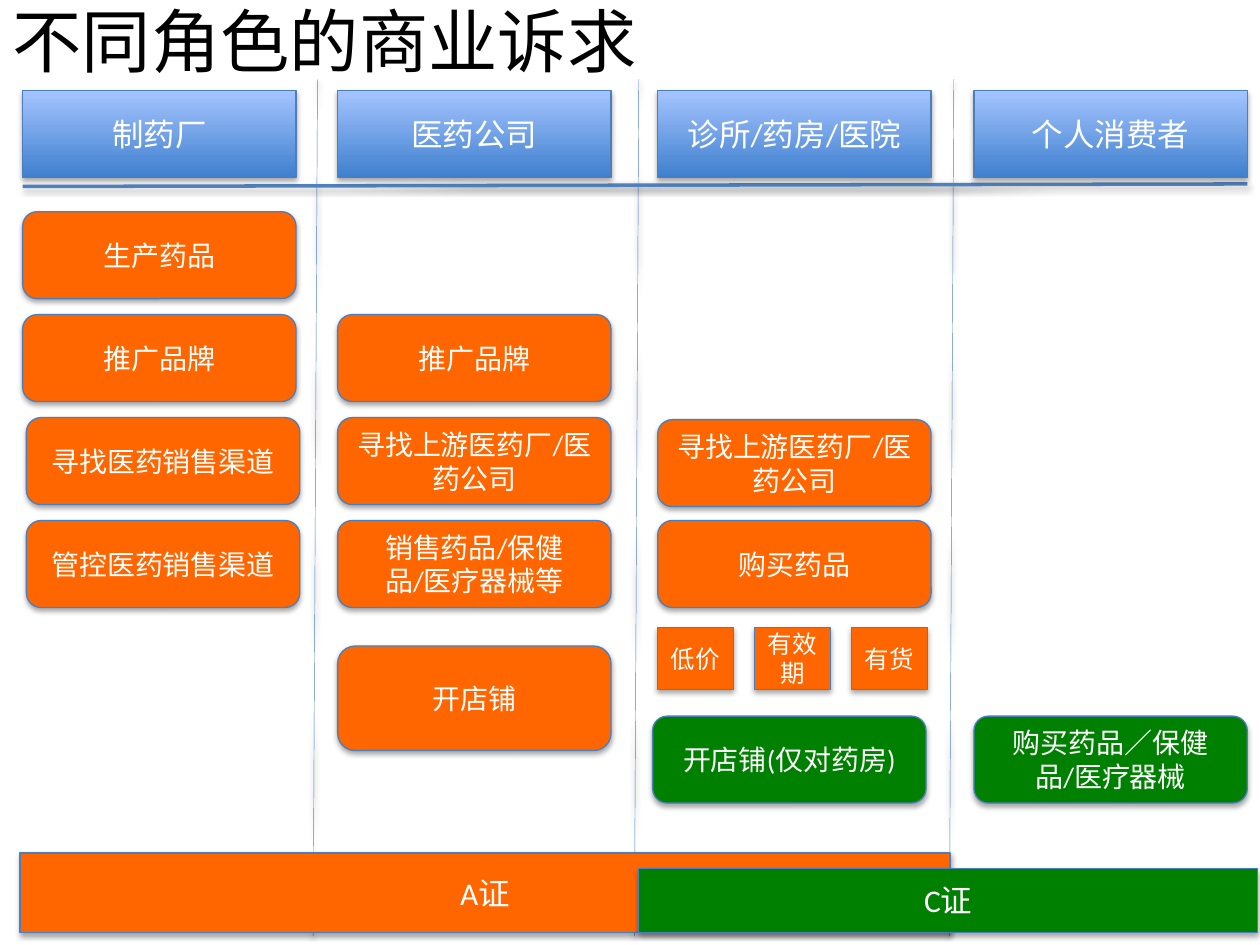
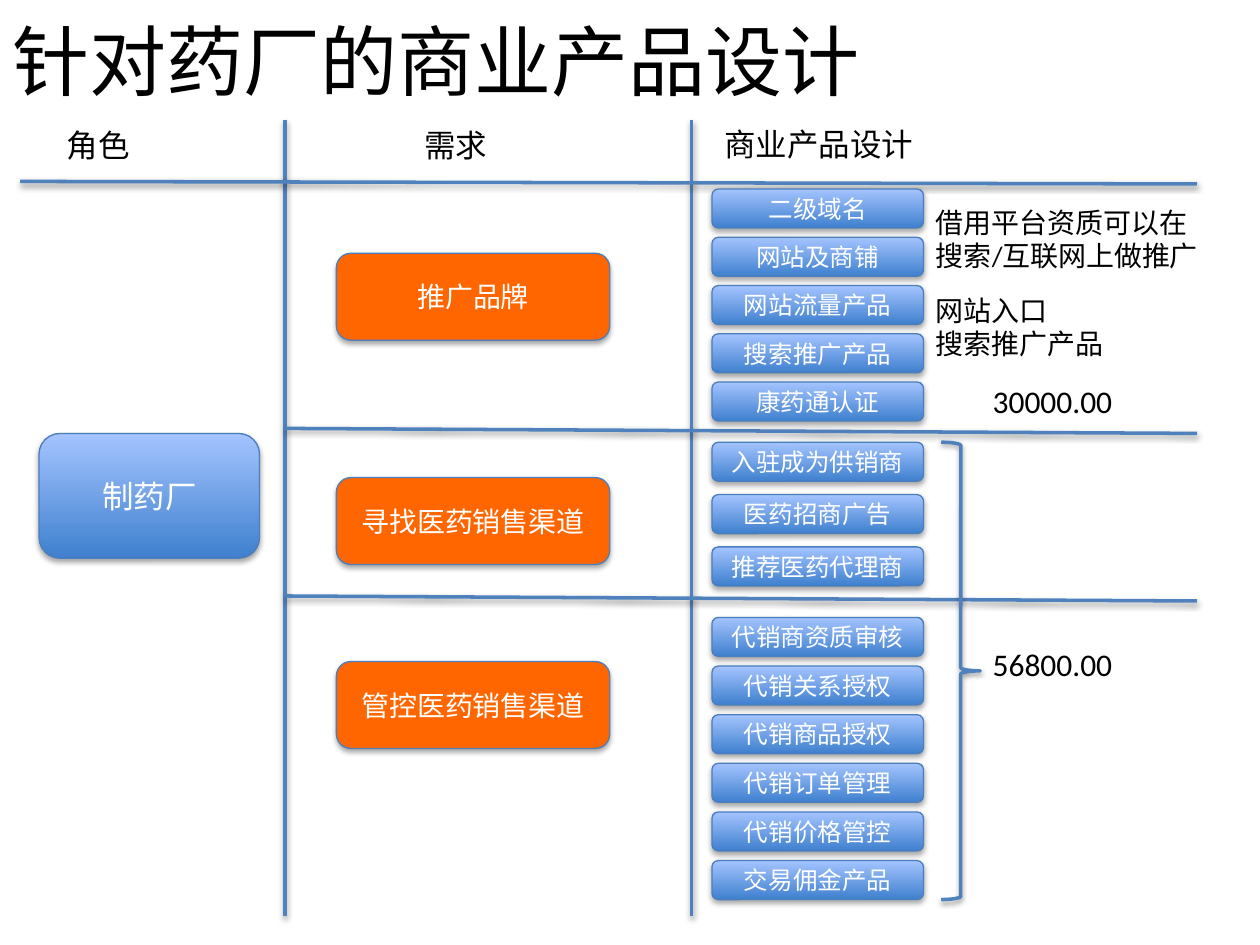
from dataclasses import dataclass

from lxml import etree
from pptx import Presentation
from pptx.dml.color import RGBColor
from pptx.enum.shapes import MSO_CONNECTOR as Connector, MSO_SHAPE as Preset
from pptx.enum.text import MSO_ANCHOR as Anchor, MSO_AUTO_SIZE as AutoSize, PP_ALIGN as Align
from pptx.oxml.ns import qn
from pptx.util import Inches, Pt

# The slide is a grid of 100 columns by 75 rows of square cells.
COLUMNS = 100
SLIDE_WIDTH, SLIDE_HEIGHT = Inches(10), Inches(7.5)
CELL = SLIDE_WIDTH / COLUMNS
TITLE_ONLY = 5
FONT = "Calibri"
COLORS = {
    "text": "000000", "inverse": "FFFFFF", "edge": "4B7EBC", "rule": "4F81BD",
    "blue_low": "3F80CE", "blue_high": "A4C4FF", "orange": "FF6600", "green": "008000",
}
CARD_WIDTH, CARD_HEIGHT = 21.7, 6.9


@dataclass
class Box:
    """A region of the slide, measured in grid cells."""
    left: float
    top: float
    width: float
    height: float

    def inner(self, left, top, width, height):
        """Return a box placed relative to this one."""
        return Box(self.left + left, self.top + top, width, height)

    def lengths(self):
        """Return left, top, width and height as slide lengths."""
        return [round(n * CELL) for n in (self.left, self.top, self.width, self.height)]


def color(name):
    """Look up a colour of the palette."""
    return RGBColor.from_string(COLORS[name])


def add_shadow(item, distance, opacity):
    """Give a shape or connector a soft shadow straight below it."""
    effects = etree.SubElement(item._element.spPr, qn("a:effectLst"))
    outer = etree.SubElement(effects, qn("a:outerShdw"), blurRad="40000", dist=str(distance),
                             dir="5400000", rotWithShape="0")
    tone = etree.SubElement(outer, qn("a:srgbClr"), val="000000")
    etree.SubElement(tone, qn("a:alpha"), val=str(opacity * 1000))


def write(frame, text, size, tone, align=Align.LEFT):
    """Fill a text frame and format each run."""
    frame.word_wrap = True
    frame.text = text
    for para in frame.paragraphs:
        para.alignment = align
        for span in para.runs:
            span.font.name = FONT
            span.font.size = Pt(size)
            span.font.color.rgb = color(tone)


def add_card(page, box, text, fill, size=16, preset=Preset.ROUNDED_RECTANGLE):
    """Draw a filled card with centred white text; "blue" is a gradient."""
    card = page.shapes.add_shape(preset, *box.lengths())
    if fill == "blue":
        card.fill.gradient()
        card.fill.gradient_angle = 90
        for stop, name in zip(card.fill.gradient_stops, ("blue_low", "blue_high")):
            stop.color.rgb = color(name)
    else:
        card.fill.solid()
        card.fill.fore_color.rgb = color(fill)
    card.line.color.rgb = color("edge")
    card.line.width = Pt(0.75)
    add_shadow(card, 23000, 35)
    card.text_frame.vertical_anchor = Anchor.MIDDLE
    write(card.text_frame, text, size, "inverse", Align.CENTER)


def style_rule(item, width):
    """Apply the line style shared by rules and the brace."""
    item.line.color.rgb = color("rule")
    item.line.width = Pt(width)
    add_shadow(item, 20000, 38)


def add_rule(page, box, width=2):
    """Draw a rule from the box's top left by its signed width and height."""
    left, top, across, down = box.lengths()
    rule = page.shapes.add_connector(Connector.STRAIGHT, left, top, left + across, top + down)
    style_rule(rule, width)


def add_label(page, box, text, size=18):
    """Place a plain text box."""
    label = page.shapes.add_textbox(*box.lengths())
    write(label.text_frame, text, size, "text")
    label.text_frame.auto_size = AutoSize.SHAPE_TO_FIT_TEXT


def add_page(deck, title, height, size):
    """Add a slide with its title across the top."""
    page = deck.slides.add_slide(deck.slide_layouts[TITLE_ONLY])
    holder = page.shapes.title
    holder.left, holder.top, holder.width, holder.height = Box(0, 0, COLUMNS, height).lengths()
    holder.text_frame.auto_size = AutoSize.NONE
    holder.text_frame.vertical_anchor = Anchor.MIDDLE
    write(holder.text_frame, title, size, "text")
    return page


def add_role(page, box, role, demands):
    """Draw one role's header and its demands: text, row, indent, height, fill."""
    add_card(page, box.inner(0, 0, box.width, CARD_HEIGHT), role, "blue", 18, Preset.RECTANGLE)
    for text, row, indent, height, fill in demands:
        add_card(page, box.inner(indent, 9.6 + 8.17 * row, box.width, height), text, fill)


def add_conditions(page, box, conditions):
    """Draw the buying conditions as equal tiles in a row."""
    pitch = box.width / len(conditions)
    for index, text in enumerate(conditions):
        add_card(page, box.inner(index * pitch, 0, 6, box.height), text, "orange", 14,
                 Preset.RECTANGLE)


def add_dividers(page, box):
    """Draw the slightly leaning column dividers and the header rule."""
    for left in (73.9, 48.9, 23.4):
        add_rule(page, box.inner(left, 0, -0.35, box.height), 0.25)
    add_rule(page, box.inner(0, 8.5, box.width, -0.2))


def add_licences(page, box):
    """Draw the two overlapping licence bands, both resting on the box's foot."""
    for text, left, width, height, fill in (("A证", 0, 73.8, 6.3, "orange"),
                                            ("C证", 49.1, 49.1, 5.1, "green")):
        add_card(page, box.inner(left, box.height - height, width, height), text, fill, 18,
                 Preset.RECTANGLE)


def build_roles(deck):
    """Build the slide of each role's commercial demands."""
    page = add_page(deck, "不同角色的商业诉求", 6.3, 39.6)
    add_dividers(page, Box(1.8, 6.3, 97.2, 68))
    add_licences(page, Box(1.6, 67.7, 98.2, 6.3))
    full = CARD_HEIGHT
    upstream = "寻找上游医药厂/医药公司"
    roles = [
        (1.8, "制药厂", [
            ("生产药品", 0, 0, full, "orange"),
            ("推广品牌", 1, 0, full, "orange"),
            ("寻找医药销售渠道", 2, 0.3, full, "orange"),
            ("管控医药销售渠道", 3, 0.3, full, "orange")]),
        (26.8, "医药公司", [
            ("推广品牌", 1, 0, full, "orange"),
            (upstream, 2, 0, full, "orange"),
            ("销售药品/保健品/医疗器械等", 3, 0, full, "orange"),
            ("开店铺", 4.22, 0, 8.3, "orange")]),
        (52.2, "诊所/药房/医院", [
            (upstream, 2.02, 0, full, "orange"),
            ("购买药品", 3, 0, full, "orange"),
            ("开店铺(仅对药房)", 4.9, -0.4, full, "green")]),
        (77.3, "个人消费者", [
            ("购买药品／保健品/医疗器械", 4.9, 0, full, "green")]),
    ]
    for left, role, demands in roles:
        add_role(page, Box(left, 7.2, CARD_WIDTH, 60), role, demands)
    add_conditions(page, Box(52.2, 49.8, 23.1, 4.9), ["低价", "有效期", "有货"])


def add_frame(page, box):
    """Draw the rules that divide roles, needs and products."""
    for left in (21, 53.3):
        add_rule(page, box.inner(left, 0, 0, box.height))
    for left, top, drop in ((0, 4.9, 0.2), (21, 24.5, 0.4), (21, 37.8, 0.4)):
        add_rule(page, box.inner(left, top, box.width - left, drop))


def add_headings(page, box):
    """Write the three column headings."""
    for text, left, top, width in (("角色", 0, 0, 12.2), ("需求", 28.4, 0, 12.2),
                                   ("商业产品设计", 52.2, -0.1, 19.4)):
        add_label(page, box.inner(left, top, width, box.height), text)


def add_needs(page, box, needs):
    """Draw the need cards down one column."""
    for text, top in needs:
        add_card(page, box.inner(0, top, box.width, CARD_HEIGHT), text, "orange")


def add_products(page, box, groups):
    """Draw groups of product cards, each with its first row and pitch."""
    for top, pitch, names in groups:
        for index, name in enumerate(names):
            add_card(page, box.inner(0, top + index * pitch, box.width, 3.1), name, "blue", 14)


def add_pricing(page, box):
    """Write the remarks and prices, with a brace over the paid groups."""
    add_label(page, box.inner(0, 0, 24, 6.4), "借用平台资质可以在搜索/互联网上做推广", 16)
    add_label(page, box.inner(0, 7, 24, 6.4), "网站入口\n搜索推广产品", 16)
    for price, top in (("30000.00", 14), ("56800.00", 34.9)):
        add_label(page, box.inner(4.5, top, 17.2, 4), price)
    brace = page.shapes.add_shape(Preset.RIGHT_BRACE, *box.inner(1.4, 19.3, 3.1, 36.3).lengths())
    brace.fill.background()
    style_rule(brace, 2)


def build_products(deck):
    """Build the slide of products offered to drug makers."""
    page = add_page(deck, "针对药厂的商业产品设计", 9.5, 44)
    add_frame(page, Box(1.6, 9.5, 93.4, 63.2))
    add_headings(page, Box(4.3, 9.5, 90, 4))
    add_card(page, Box(3.1, 34.4, 17.5, 9.9), "制药厂", "blue", 18)
    add_needs(page, Box(26.7, 20.1, CARD_WIDTH, 40), [
        ("推广品牌", 0), ("寻找医药销售渠道", 17.8), ("管控医药销售渠道", 32.4)])
    add_products(page, Box(56.5, 15, 16.8, 56.4), [
        (0, 3.83, ["二级域名", "网站及商铺", "网站流量产品", "搜索推广产品", "康药通认证"]),
        (20.1, 4.15, ["入驻成为供销商", "医药招商广告", "推荐医药代理商"]),
        (34, 3.86, ["代销商资质审核", "代销关系授权", "代销商品授权", "代销订单管理",
                    "代销价格管控", "交易佣金产品"])])
    add_pricing(page, Box(73.3, 15.8, 24, 56))


def main():
    """Build and save the deck."""
    deck = Presentation()
    deck.slide_width, deck.slide_height = SLIDE_WIDTH, SLIDE_HEIGHT
    build_roles(deck)
    build_products(deck)
    deck.save("out.pptx")


main()
